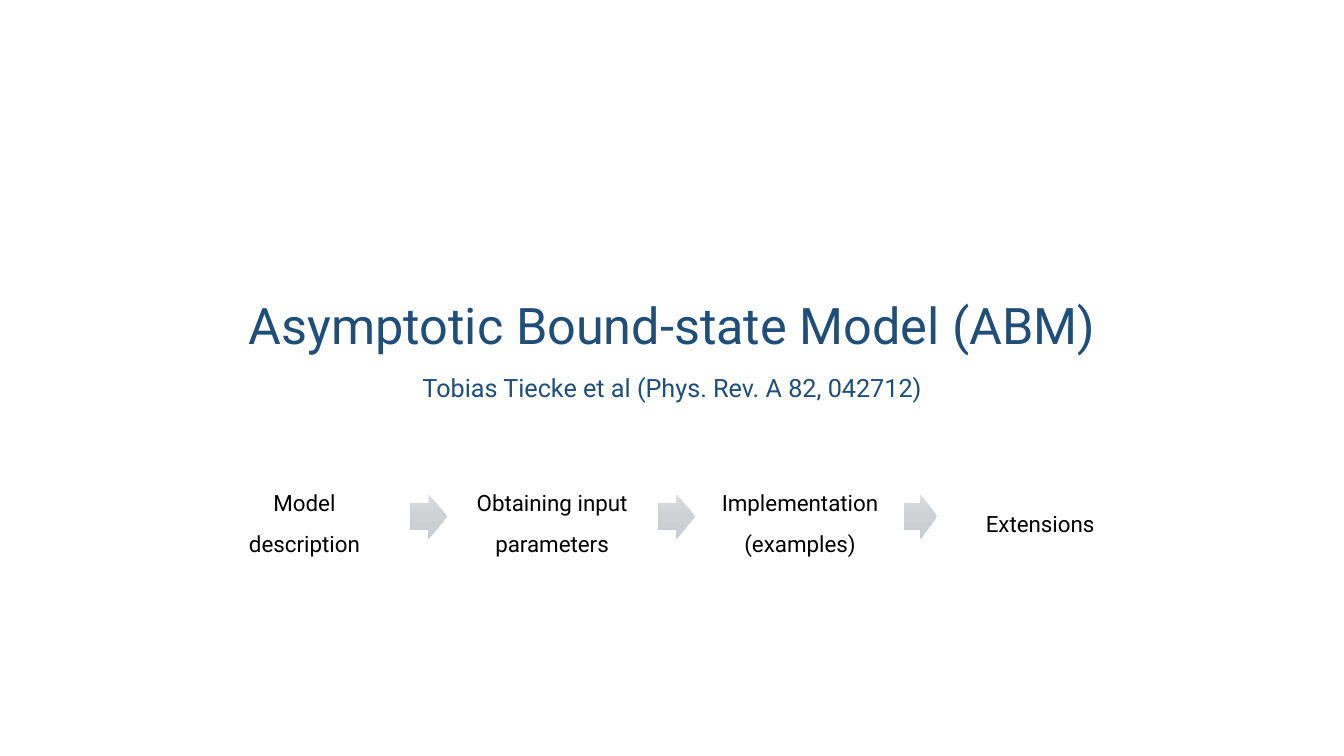
from pptx import Presentation
from pptx.dml.color import RGBColor
from pptx.enum.shapes import MSO_SHAPE as Shape
from pptx.enum.text import MSO_ANCHOR as Anchor, PP_ALIGN as Align
from pptx.oxml import parse_xml
from pptx.oxml.ns import nsdecls
from pptx.util import Cm, Pt

NAVY = RGBColor(0x1F, 0x4E, 0x79)
BLACK = RGBColor(0x00, 0x00, 0x00)
WHITE = RGBColor(0xFF, 0xFF, 0xFF)
ARROW_STOPS = [
    (0, RGBColor(0xD9, 0xDB, 0xDE)),
    (50, RGBColor(0xD0, 0xD1, 0xD5)),
    (100, RGBColor(0xC9, 0xCC, 0xD0)),
]

CARD_TOP, CARD_W, CARD_H = 11.68, 4.47, 2.67
ARROW_H = 1.12
STEPS = [
    (5.44, "Model description"),
    (11.68, "Obtaining input parameters"),
    (17.93, "Implementation\n(examples)"),
    (23.98, "Extensions"),
]


class SlideBuilder:
    """Holds the text style and the slide being filled."""

    font = "Roboto"

    def __init__(self, slide):
        self.slide = slide

    def set_text(self, sp, text, size, color, frame, para):
        tf = sp.text_frame
        for name, value in {"word_wrap": True, **frame}.items():
            setattr(tf, name, value)
        p = tf.paragraphs[0]
        p.text = text
        for name, value in {"alignment": Align.CENTER, **para}.items():
            setattr(p, name, value)
        for r in p.runs:
            r.font.color.rgb = color
            for name, value in {"name": self.font, "size": Pt(size)}.items():
                setattr(r.font, name, value)

    def heading(self, box, text, size, anchor, **para):
        sp = self.slide.shapes.add_textbox(*map(Cm, box))
        self.set_text(sp, text, size, NAVY, {"vertical_anchor": anchor},
                      {"line_spacing": 0.9, **para})

    def shape(self, kind, box, adjustments):
        sp = self.slide.shapes.add_shape(kind, *map(Cm, box))
        sp.shadow.inherit = False
        sp.line.fill.background()
        for i, value in enumerate(adjustments):
            sp.adjustments[i] = value
        return sp

    def card(self, left, text):
        sp = self.shape(Shape.ROUNDED_RECTANGLE,
                        (left, CARD_TOP, CARD_W, CARD_H), [0.1])
        sp.fill.solid()
        sp.fill.fore_color.rgb = WHITE
        sides = ("left", "top", "right", "bottom")
        frame = {f"margin_{side}": Cm(0.18) for side in sides}
        self.set_text(sp, text, 16, BLACK,
                      {"vertical_anchor": Anchor.MIDDLE, **frame},
                      {"line_spacing": 1.5})

    def arrow(self, start, end):
        gap = end - start
        top = CARD_TOP + (CARD_H - ARROW_H) / 2
        sp = self.shape(Shape.RIGHT_ARROW,
                        (start + 0.24 * gap, top, 0.53 * gap, ARROW_H), [0.6, 0.5])
        # Three-stop gradient from top to bottom
        stops = "".join(
            f'<a:gs pos="{pos * 1000}"><a:srgbClr val="{color}"/></a:gs>'
            for pos, color in ARROW_STOPS)
        sp.fill.background()
        sp_pr = sp.element.spPr
        no_fill = sp_pr.find("{*}noFill")
        sp_pr.replace(no_fill, parse_xml(
            f'<a:gradFill {nsdecls("a")}><a:gsLst>{stops}</a:gsLst>'
            '<a:lin ang="5400000" scaled="0"/></a:gradFill>'))


def main():
    prs = Presentation()
    prs.slide_width, prs.slide_height = Cm(33.87), Cm(19.05)
    s = SlideBuilder(prs.slides.add_slide(prs.slide_layouts[6]))

    # Title and reference
    s.heading((4.24, 2.44, 25.4, 6.63), "Asymptotic Bound-state Model (ABM)",
              36, Anchor.BOTTOM)
    s.heading((4.24, 9.35, 25.4, 1.52),
              "Tobias Tiecke et al (Phys. Rev. A 82, 042712)",
              18, Anchor.TOP, space_before=Pt(10))

    # Steps of the talk, with an arrow in each gap
    for left, text in STEPS:
        s.card(left, text)
    for (left, _), (following, _) in zip(STEPS, STEPS[1:]):
        s.arrow(left + CARD_W, following)

    prs.save("out.pptx")


if __name__ == "__main__":
    main()
